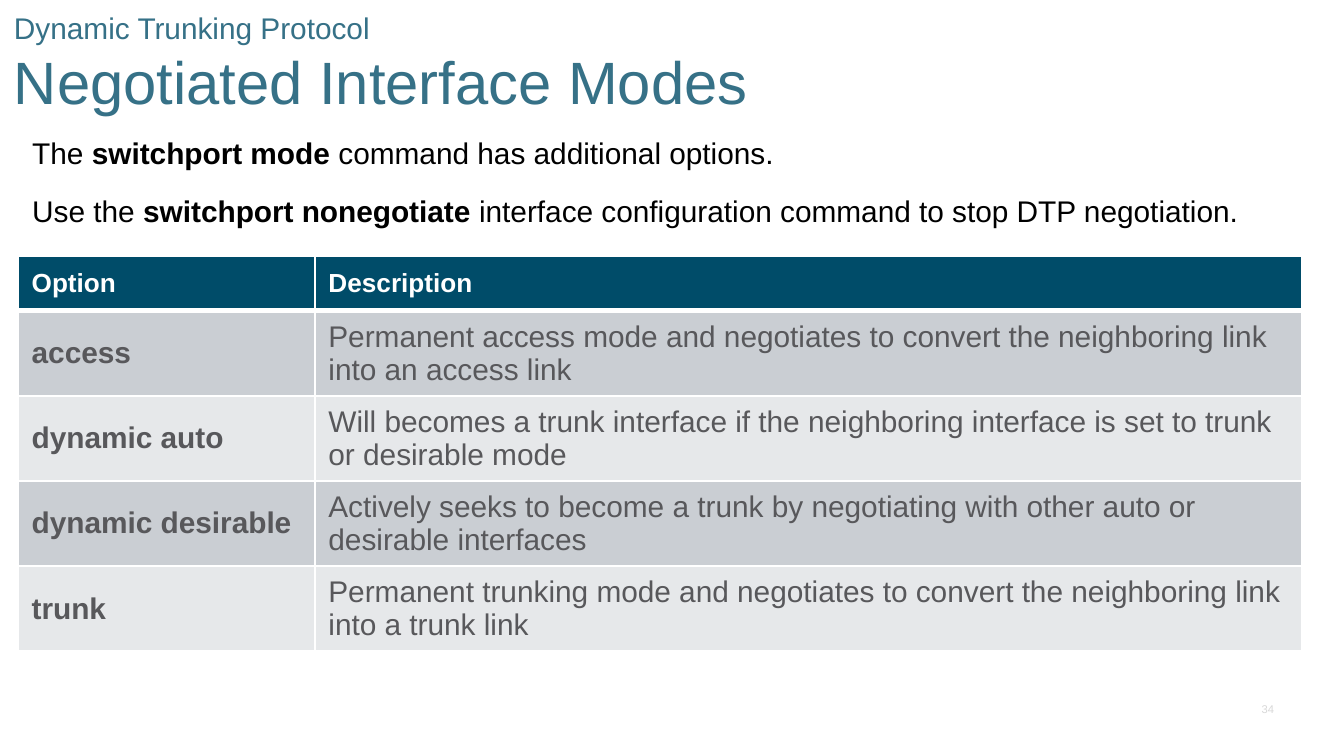
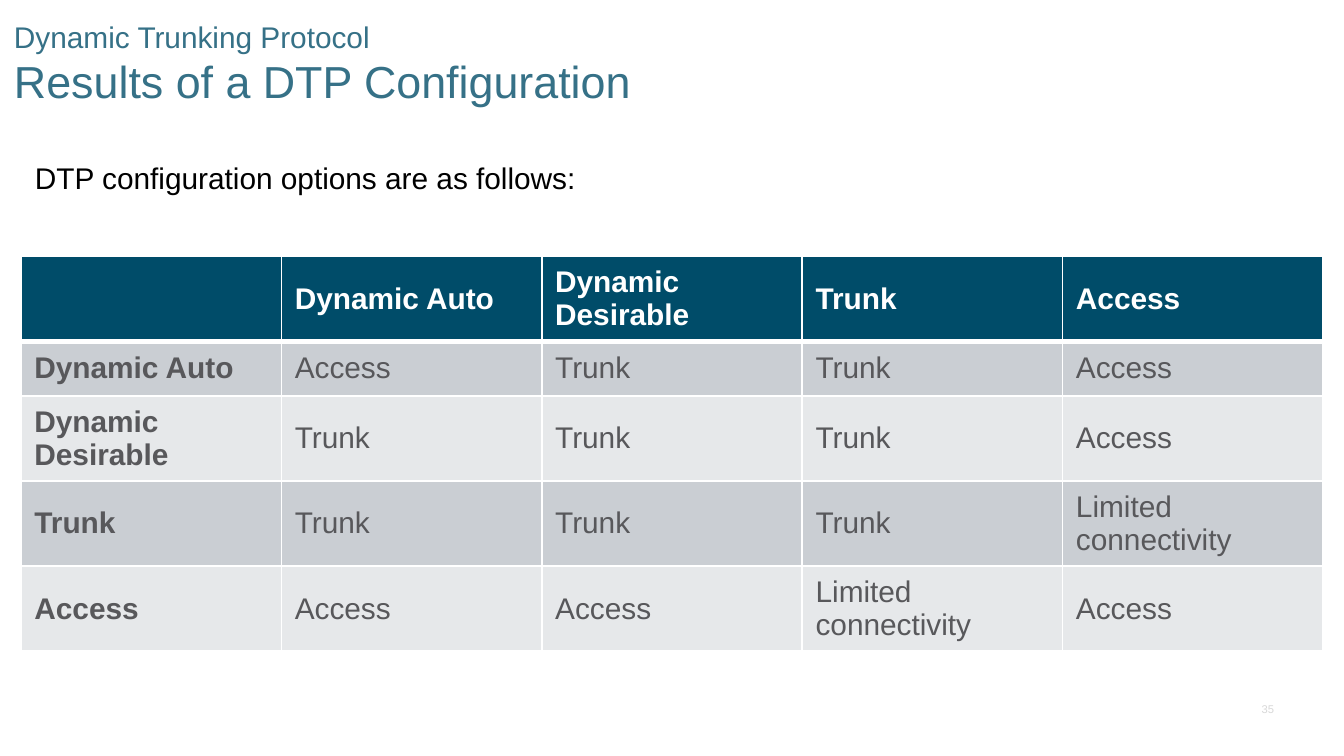
from dataclasses import dataclass
from typing import Optional

from lxml.etree import SubElement as Sub
from pptx import Presentation
from pptx.dml.color import RGBColor as RGB
from pptx.enum.text import MSO_ANCHOR as Anchor, PP_ALIGN as Align
from pptx.oxml.ns import qn
from pptx.util import Pt

PX = 9525  # EMU per px, 96 px to the inch
FONT = "Arial"
WHITE = RGB(0xFF, 0xFF, 0xFF)
BLACK = RGB(0x00, 0x00, 0x00)
TEAL = RGB(0x36, 0x71, 0x87)
NAVY = RGB(0x00, 0x4C, 0x69)
GRAY = RGB(0x58, 0x58, 0x5B)
PALE = RGB(0xD8, 0xD8, 0xD8)
BANDS = (RGB(0xCA, 0xCE, 0xD3), RGB(0xE6, 0xE8, 0xEA))
TOPIC = "Dynamic Trunking Protocol"
ROW = 39


@dataclass(frozen=True)
class Box:
    left: int
    top: int
    width: int
    height: int

    def emu(self) -> tuple[int, ...]:
        return tuple(n * PX for n in (self.left, self.top, self.width, self.height))


@dataclass(frozen=True)
class Grid:
    box: Box
    cols: tuple[int, ...]
    rows: tuple[tuple[str, ...], ...]
    head: int


@dataclass(frozen=True)
class Page:
    number: int
    title: str
    size: int
    place: Box
    body: tuple[tuple[str, ...], ...]  # every second part is bold
    grid: Grid


PAGES = (
    Page(
        34, "Negotiated Interface Modes", 32, Box(13, 91, 929, 84),
        (
            ("The ", "switchport mode", " command has additional options."),
            ("Use the ", "switchport nonegotiate",
             " interface configuration command to stop DTP negotiation."),
        ),
        Grid(
            Box(13, 183, 917, 282), (212, 705),
            (
                ("Option", "Description"),
                ("access", "Permanent access mode and negotiates to convert "
                 "the neighboring link into an access link"),
                ("dynamic auto", "Will becomes a trunk interface if the "
                 "neighboring interface is set to trunk or desirable mode"),
                ("dynamic desirable", "Actively seeks to become a trunk by "
                 "negotiating with other auto or desirable interfaces"),
                ("trunk", "Permanent trunking mode and negotiates to convert "
                 "the neighboring link into a trunk link"),
            ),
            14,
        ),
    ),
    Page(
        35, "Results of a DTP Configuration", 24, Box(15, 109, 929, 54),
        (("DTP configuration options are as follows:",),),
        Grid(
            Box(15, 183, 930, 282), (186,) * 5,
            (
                ("", "Dynamic Auto", "Dynamic Desirable", "Trunk", "Access"),
                ("Dynamic Auto", "Access", "Trunk", "Trunk", "Access"),
                ("Dynamic Desirable", "Trunk", "Trunk", "Trunk", "Access"),
                ("Trunk", "Trunk", "Trunk", "Trunk", "Limited connectivity"),
                ("Access", "Access", "Access", "Limited connectivity", "Access"),
            ),
            16,
        ),
    ),
)


def style(font, color: RGB, size: Optional[int] = None,
          bold: Optional[bool] = None) -> None:
    font.name = FONT
    font.color.rgb = color
    font.bold = bold
    if size:
        font.size = Pt(size)


def add_box(slide, box: Box, anchor: Anchor, pad: tuple[int, int, int],
            wrap: bool = True):
    """Add a text box; pad is left, right and top/bottom."""
    frame = slide.shapes.add_textbox(*box.emu()).text_frame
    frame.word_wrap = wrap
    frame.vertical_anchor = anchor
    frame.margin_left, frame.margin_right = pad[0] * PX, pad[1] * PX
    frame.margin_top = frame.margin_bottom = pad[2] * PX
    return frame


def add_title(slide, page: Page) -> None:
    frame = add_box(slide, Box(0, 5, 960, 80), Anchor.MIDDLE, (10, 10, 5))
    para = frame.paragraphs[0]
    style(para.font, TEAL)
    run = para.add_run()
    run.text, run.font.size = TOPIC, Pt(16)
    para.add_line_break()
    run = para.add_run()
    run.text, run.font.size = page.title, Pt(page.size)


def add_body(slide, page: Page) -> None:
    frame = add_box(slide, page.place, Anchor.TOP, (10, 19, 5))
    for i, parts in enumerate(page.body):
        para = frame.add_paragraph() if i else frame.paragraphs[0]
        if i:
            para.space_before = Pt(12)
        style(para.font, BLACK, 16)
        for j, part in enumerate(parts):
            run = para.add_run()
            run.text = part
            run.font.bold = j % 2 == 1


def add_number(slide, number: int) -> None:
    box = Box(894, 498, 23, 16)
    para = add_box(slide, box, Anchor.BOTTOM, (7, 7, 3), False).paragraphs[0]
    para.text = str(number)
    para.alignment = Align.RIGHT
    style(para.font, PALE, 6)


def add_edges(cell, top: int, bottom: int) -> None:
    """Draw white cell borders; widths are in points."""
    props = cell._tc.get_or_add_tcPr()
    for side, width in (("L", 1), ("R", 1), ("T", top), ("B", bottom)):
        line = Sub(props, qn(f"a:ln{side}"), w=str(Pt(width)))
        Sub(Sub(line, qn("a:solidFill")), qn("a:srgbClr"), val=str(WHITE))


def add_grid(slide, grid: Grid) -> None:
    shape = slide.shapes.add_table(len(grid.rows), len(grid.cols), *grid.box.emu())
    table = shape.table
    for col, width in zip(table.columns, grid.cols):
        col.width = width * PX
    for r, texts in enumerate(grid.rows):
        table.rows[r].height = ROW * PX
        for c, text in enumerate(texts):
            cell = table.cell(r, c)
            add_edges(cell, 3 if r == 1 else 1, 1 if r else 3)
            cell.fill.solid()
            cell.fill.fore_color.rgb = BANDS[(r - 1) % 2] if r else NAVY
            cell.vertical_anchor = Anchor.MIDDLE
            para = cell.text_frame.paragraphs[0]
            para.text = text
            style(para.font, GRAY if r else WHITE, 16 if r else grid.head,
                  r == 0 or c == 0)
    shape.height = grid.box.height * PX


def main() -> None:
    deck = Presentation()
    deck.slide_width, deck.slide_height = 960 * PX, 540 * PX
    for page in PAGES:
        slide = deck.slides.add_slide(deck.slide_layouts[6])
        add_number(slide, page.number)
        add_title(slide, page)
        add_body(slide, page)
        add_grid(slide, page.grid)
    deck.save("out.pptx")


if __name__ == "__main__":
    main()
